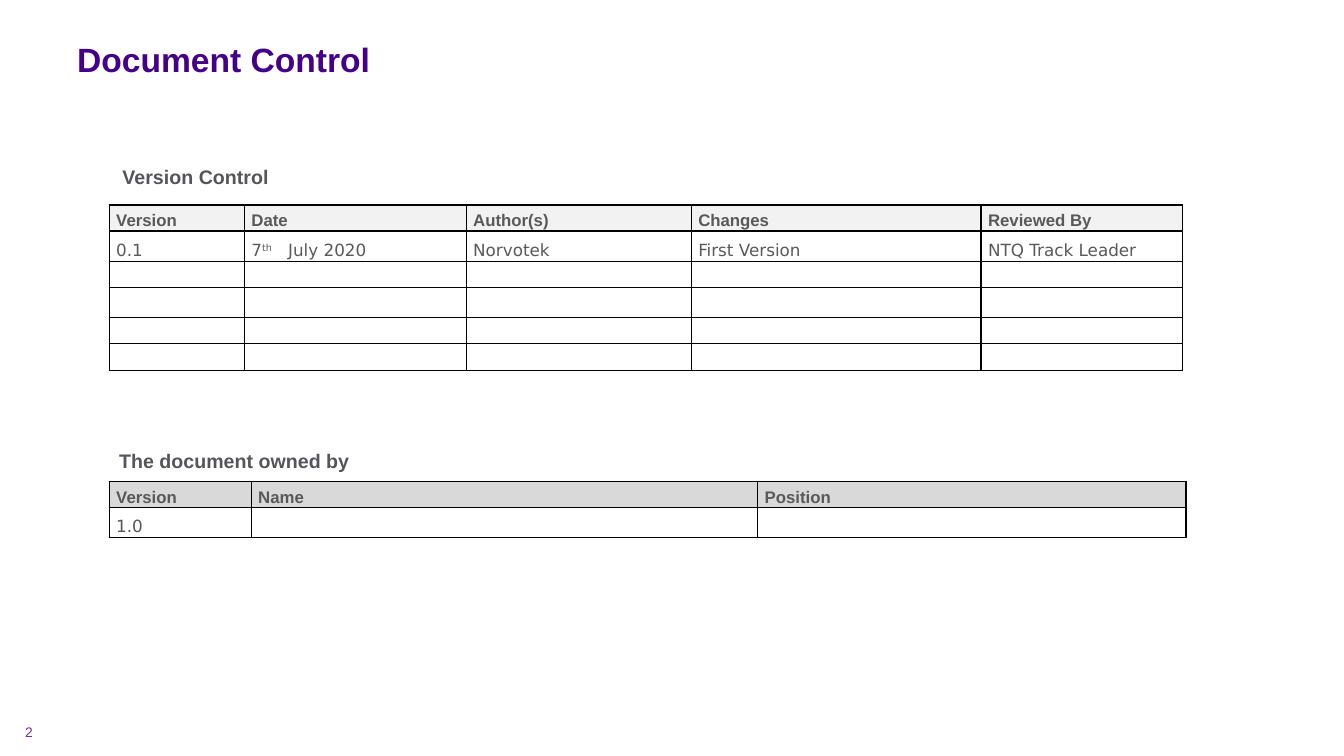
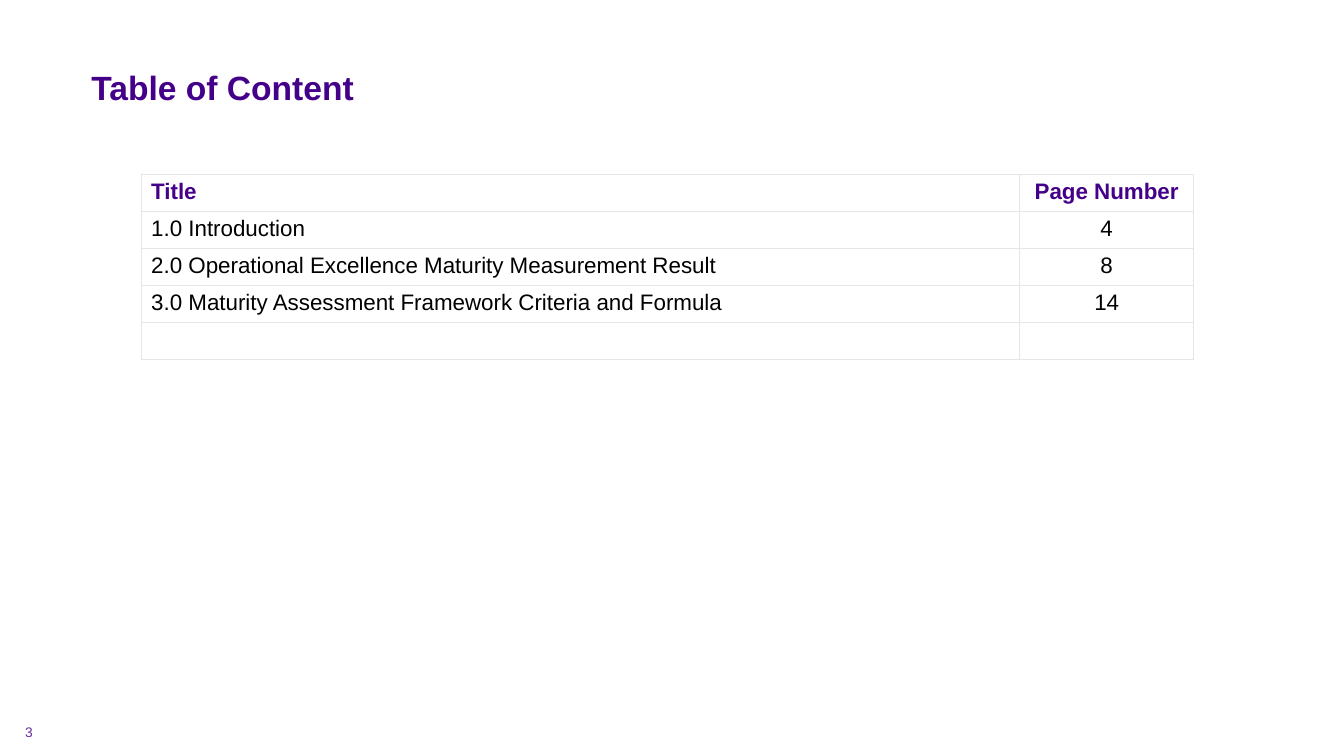
from lxml import etree
from pptx import Presentation
from pptx.dml.color import RGBColor
from pptx.enum.text import MSO_ANCHOR, PP_ALIGN
from pptx.oxml.ns import qn
from pptx.util import Inches, Pt

TOP, MIDDLE = MSO_ANCHOR.TOP, MSO_ANCHOR.MIDDLE
LEFT, CENTER = PP_ALIGN.LEFT, PP_ALIGN.CENTER

COLORS = {
    "title": "450089", "heading": "56555A", "cell": "595959",
    "number": "7030A0", "text": "000000", "white": "FFFFFF",
    "light": "F2F2F2", "gray": "D9D9D9", "rule": "E7E6E6",
}
COLUMNS, ROWS = 160, 90          # slide grid
WIDTH, HEIGHT = Inches(13.333), Inches(7.5)
HEAD_FONT, BODY_FONT = "Arial", "DejaVu Sans"


def across(columns):
    return round(WIDTH * columns / COLUMNS)


def down(rows):
    return round(HEIGHT * rows / ROWS)


class Deck:
    """Shared style and the slide being filled."""

    def __init__(self):
        self.deck = Presentation()
        self.deck.slide_width, self.deck.slide_height = WIDTH, HEIGHT
        self.page = None

    def add_page(self, number, title, left, top):
        self.page = self.deck.slides.add_slide(self.deck.slide_layouts[6])
        self.text(title, (left, top, 140, 6), 24, "title", bold=True)
        self.text(str(number), (1.8, 85.9, 5.9, 2.4), 9.9, "number",
                  anchor=MIDDLE, inset=0)

    def span(self, para, text, size, color, font=HEAD_FONT, bold=False, **marks):
        """Add one run; marks are extra run attributes such as baseline."""
        span = para.add_run()
        span.text = text
        span.font.size, span.font.name, span.font.bold = Pt(size), font, bold
        span.font.color.rgb = RGBColor.from_string(COLORS[color])
        for name, value in marks.items():
            span._r.get_or_add_rPr().set(name, value)

    def text(self, text, place, size, color, bold=False, anchor=TOP, inset=0.05):
        left, top, width, height = place
        box = self.page.shapes.add_textbox(
            across(left), down(top), across(width), down(height))
        frame = box.text_frame
        frame.word_wrap = True
        frame.vertical_anchor = anchor
        frame.margin_top = frame.margin_bottom = Inches(inset)
        self.span(frame.paragraphs[0], text, size, color, bold=bold)

    def heading(self, text, left, top):
        self.text(text, (left, top, 40, 4), 14, "heading", bold=True, anchor=MIDDLE)

    def borders(self, cell, color):
        props = cell._tc.get_or_add_tcPr()
        for position, side in enumerate(("lnL", "lnR", "lnT", "lnB")):
            line = etree.Element(qn("a:" + side), w=str(Pt(1)))
            fill = etree.SubElement(line, qn("a:solidFill"))
            etree.SubElement(fill, qn("a:srgbClr"), val=COLORS[color])
            props.insert(position, line)

    def table(self, left, top, widths, heights, rows, write, border, head_fill, size):
        """Draw a table; write(para, content, row, column) fills a used cell."""
        frame = self.page.shapes.add_table(
            len(heights), len(widths), across(left), down(top),
            across(sum(widths)), down(sum(heights)))
        table = frame.table
        table.first_row = table.horz_banding = False
        for column, width in zip(table.columns, widths):
            column.width = across(width)
        for r, height in enumerate(heights):
            table.rows[r].height = down(height)
            for c in range(len(widths)):
                cell = table.cell(r, c)
                cell.fill.solid()
                cell.fill.fore_color.rgb = RGBColor.from_string(
                    COLORS["white" if r else head_fill])
                self.borders(cell, border)
                content = rows[r][c] if r < len(rows) else ""
                para = cell.text_frame.paragraphs[0]
                if content:
                    write(para, content, r, c)
                else:
                    para._p.get_or_add_endParaRPr().set("sz", str(size * 100))
                if size == 12:
                    cell.margin_left = cell.margin_right = Inches(0.07)
                    cell.margin_top = cell.margin_bottom = 0

    def control_table(self, top, widths, heights, rows, head_fill, body_color):
        def write(para, content, row, column):
            para.space_after = Pt(6)
            if row == 0:
                para.line_spacing = Pt(18)
                self.span(para, content, 12, "cell", bold=True)
                return
            para.line_spacing, para.space_before = 1.5, Pt(6)
            pieces = [(content, {})] if isinstance(content, str) else content
            for piece, marks in pieces:
                self.span(para, piece, 12, body_color, BODY_FONT, **marks)

        self.table(13, top, widths, heights, rows, write, "text", head_fill, 12)

    def contents_table(self, left, top, widths, heights, rows):
        def write(para, content, row, column):
            para.alignment = CENTER if column else LEFT
            self.span(para, content, 16, "text" if row else "title", bold=row == 0)

        self.table(left, top, widths, heights, rows, write, "rule", "white", 16)


def main():
    deck = Deck()

    # Document control
    deck.add_page(2, "Document Control", 8, 4)
    deck.heading("Version Control", 13.4, 19)
    date = [("7", {}), ("th", {"baseline": "30000"}),
            (" ", {"spc": "760"}), ("July 2020", {})]
    deck.control_table(
        24.4, [16.1, 26.4, 26.8, 34.5, 24], [3.1, 3.6, 3.1, 3.6, 3.1, 3.2],
        [["Version", "Date", "Author(s)", "Changes", "Reviewed By"],
         ["0.1", date, "Norvotek", "First Version", "NTQ Track Leader"]],
        "light", "cell")
    deck.heading("The document owned by", 13, 52.8)
    deck.control_table(
        57.3, [16.9, 60.3, 51], [3.1, 3.6],
        [["Version", "Name", "Position"], ["1.0", "", ""]],
        "gray", "heading")

    # Table of content
    deck.add_page(3, "Table of Content", 9.7, 7.4)
    deck.contents_table(
        16.8, 20.8, [104.6, 20.7], [4.4] * 5,
        [["Title", "Page Number"],
         ["1.0 Introduction", "4"],
         ["2.0 Operational Excellence Maturity Measurement Result", "8"],
         ["3.0 Maturity Assessment Framework Criteria and Formula", "14"]])

    deck.deck.save("out.pptx")


if __name__ == "__main__":
    main()
